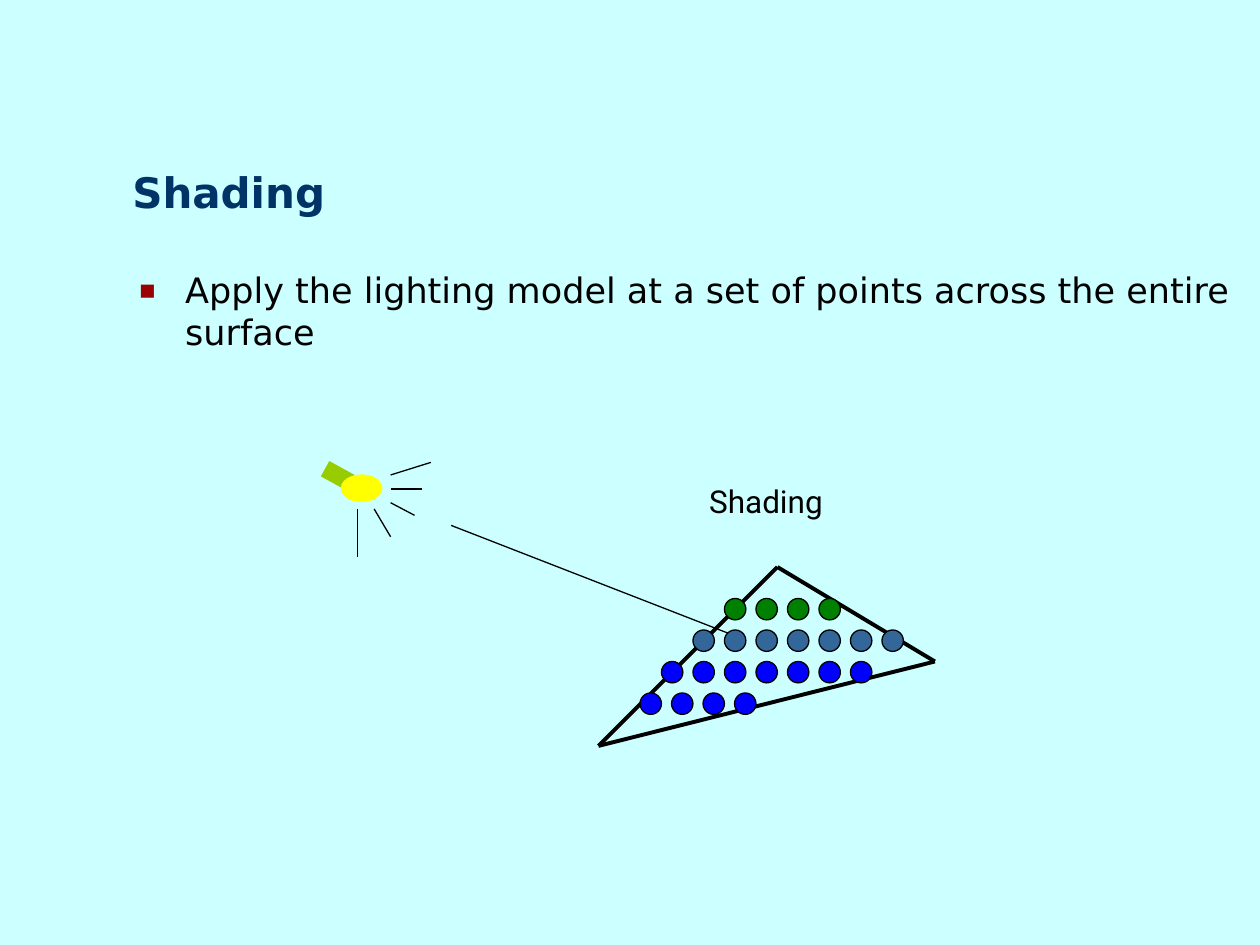
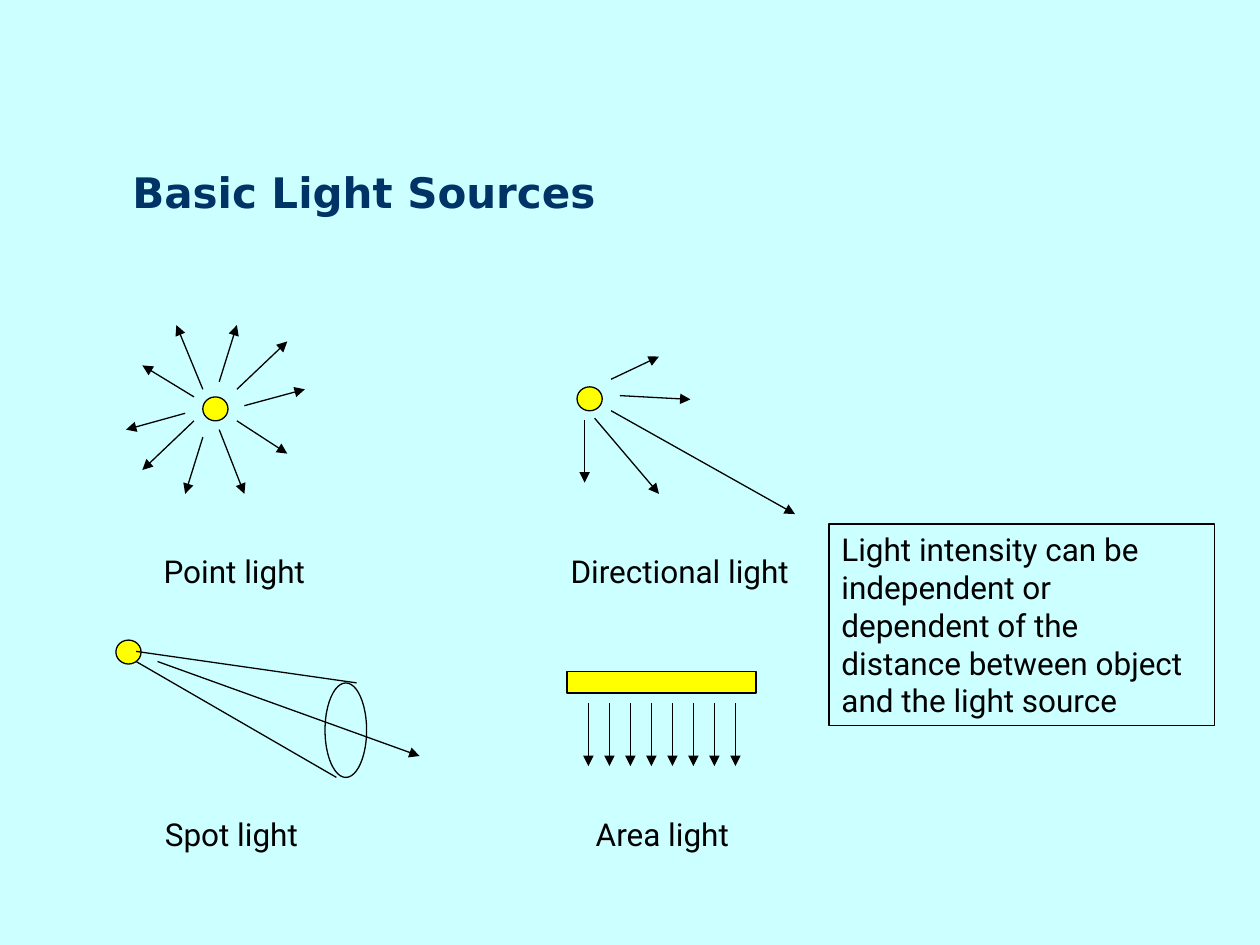
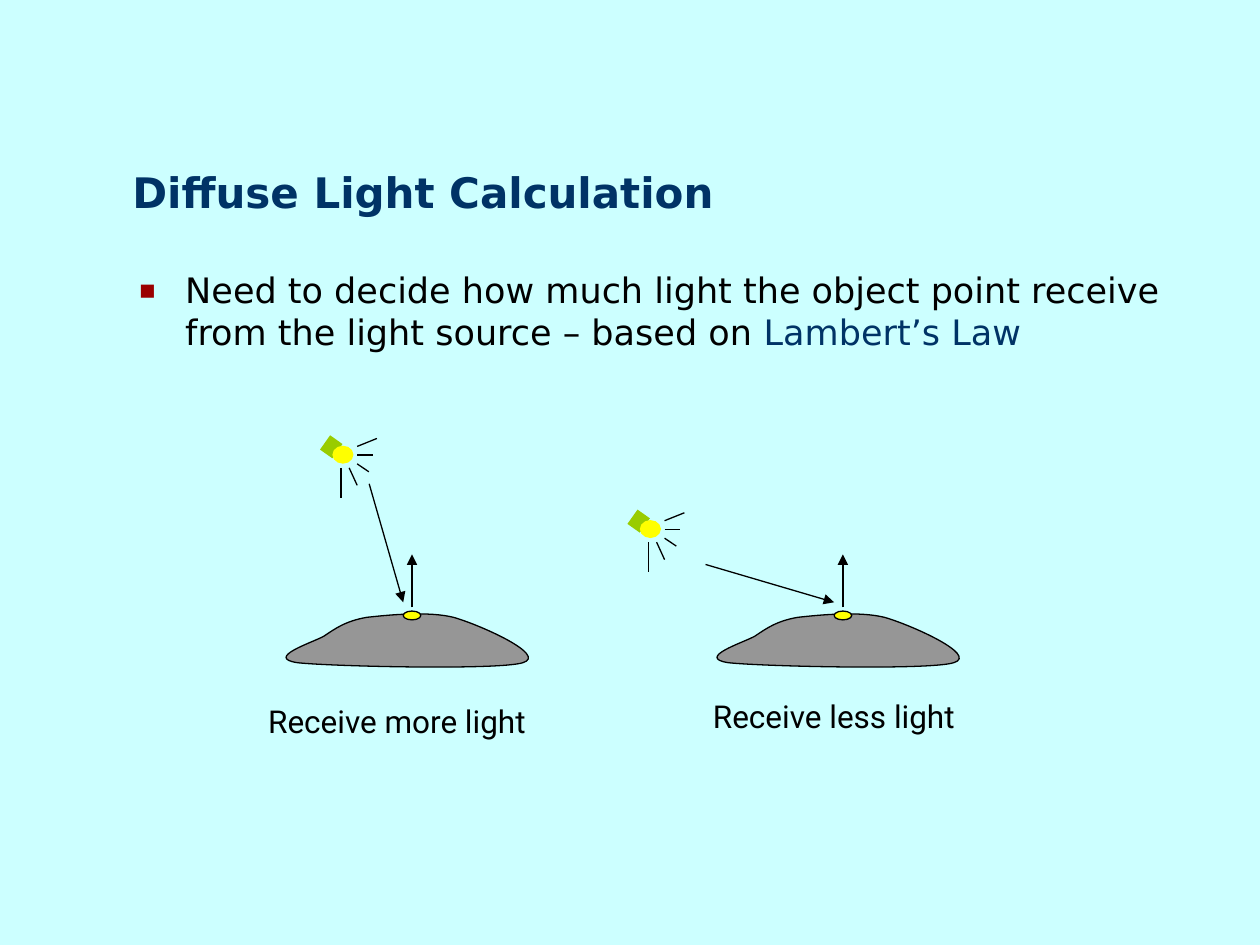
from pptx import Presentation, util as u
from pptx.dml.color import RGBColor
from pptx.enum import shapes, text
from pptx.oxml import parse_xml
from pptx.oxml.ns import nsdecls, qn

# Shared look
PAGE, INK, NAVY, RED = "CCFFFF", "000000", "003366", "9A0000"
SUN, LIME, STONE = "FFFF00", "99CC00", "969696"
HEAD, LABEL = "DejaVu Sans", "Roboto"

# Slide 1: lines are (x1, y1, x2, y2) in grid units of 2.54 cm
SHADE = [[("Apply the lighting model at a set of points across the entire surface", INK)]]
EDGES = [(4.75, 5.92, 6.17, 4.5), (6.17, 4.5, 7.42, 5.25), (4.75, 5.92, 7.42, 5.25)]
DOTS = [  # colour, left, top, count
    ("0000FF", 5.08, 5.5, 4), ("0000FF", 5.25, 5.25, 7),
    ("336699", 5.5, 5, 7), ("008000", 5.75, 4.75, 4)]

# Slide 2: each sun has its own rays
POINT = [
    (1.74, 3.03, 1.88, 2.58), (1.88, 3.09, 2.28, 2.71), (1.94, 3.22, 2.42, 3.09),
    (1.88, 3.34, 2.28, 3.6), (1.74, 3.41, 1.94, 3.92), (1.54, 3.15, 1.13, 2.9),
    (1.61, 3.47, 1.47, 3.92), (1.54, 3.34, 1.13, 3.73), (1.47, 3.28, 1, 3.41),
    (1.61, 3.09, 1.4, 2.58)]
DIRECT = [
    (4.85, 3.01, 5.23, 2.83), (4.92, 3.14, 5.48, 3.17), (4.85, 3.26, 6.31, 4.08),
    (4.72, 3.32, 5.23, 3.92), (4.64, 3.33, 4.64, 3.83)]
CONE = [(1.08, 5.17, 2.83, 5.42), (1.08, 5.25, 2.67, 6.17)]
BEAM = [(1.25, 5.25, 3.33, 6)]
NAMES = [
    ("Point light", 1.2, 4.33, 1.4), ("Directional light", 4.43, 4.33, 2.07),
    ("Area light", 4.63, 6.42, 1.33), ("Spot light", 1.21, 6.42, 1.32)]
NOTE = ["Light intensity can be", "independent or", "dependent of the",
        "distance between object", "and the light source"]

# Slide 3
LAMBERT = [[("Need to decide how much light the object point receive "
             "from the light source – based on ", INK), ("Lambert’s Law", NAVY)]]
CASES = [  # mound left, lamp corner, light ray, label
    (2.1, (2.58, 3.48), (2.93, 3.84, 3.2, 4.78), ("Receive more light", 2.03, 5.52, 2.44)),
    (5.52, (5.02, 4.07), (5.6, 4.48, 6.62, 4.78), ("Receive less light", 5.56, 5.48, 2.26))]

# Parts drawn from their own corner
RAYS = [(.52, .1, .84, 0), (.52, .21, .77, .21), (.52, .32, .71, .42),
        (.39, .37, .52, .59), (.26, .37, .26, .75)]
MOUND = [(.26, .41),  # start, then three points for each curve
         (0, .37), (.38, .25), (.47, .2), (.56, .14), (.64, .08), (.81, .05),
         (.99, .03), (1.3, 0), (1.5, .05), (1.71, .11), (2.25, .35), (2.05, .41),
         (1.86, .47), (.53, .44), (.26, .41)]


def cm(*nums):
    return [u.Cm(2.54 * n) for n in nums]


def color(code):
    return RGBColor.from_string(code)


def write(frame, paras, size=18, font=LABEL, ink=INK, bold=False, wrap=False,
          fit=text.MSO_AUTO_SIZE.SHAPE_TO_FIT_TEXT, anchor=text.MSO_ANCHOR.TOP):
    """Fill a frame with paragraphs, each a string or a list of (text, colour)."""
    frame.word_wrap, frame.auto_size, frame.vertical_anchor = wrap, fit, anchor
    for i, para in enumerate(paras):
        p = frame.add_paragraph() if i else frame.paragraphs[0]
        p.alignment = text.PP_ALIGN.LEFT
        for words, tint in [(para, ink)] if isinstance(para, str) else para:
            run = p.add_run()
            run.text = words
            run.font.size, run.font.name, run.font.bold = u.Pt(size), font, bold
            run.font.color.rgb = color(tint)


def style(shape, fill, line=INK):
    shape.shadow.inherit = False
    if fill:
        shape.fill.solid()
        shape.fill.fore_color.rgb = color(fill)
    else:
        shape.fill.background()
    shape.line.color.rgb = color(line)
    shape.line.width = u.Pt(0.75)


def draw(host, box, fill=None, line=INK, kind=shapes.MSO_SHAPE.OVAL):
    shape = host.shapes.add_shape(kind, *cm(*box))
    style(shape, fill, line)
    return shape


def link(host, ends, width=0.75, ink=INK, arrow=False):
    line = host.shapes.add_connector(shapes.MSO_CONNECTOR.STRAIGHT, *cm(*ends))
    line.line.color.rgb = color(ink)
    line.line.width = u.Pt(width)
    if arrow:
        line.line._get_or_add_ln().append(
            parse_xml(f'<a:tailEnd {nsdecls("a")} type="triangle"/>'))
    line._element.spPr.append(parse_xml(f'<a:effectLst {nsdecls("a")}/>'))


def label(slide, words, x, y, w):
    write(slide.shapes.add_textbox(*cm(x, y, w, 0.4)).text_frame, [words])


def place(shape, *box):
    shape.left, shape.top, shape.width, shape.height = cm(*box)


def page(prs, title, body=None):
    slide = prs.slides.add_slide(prs.slide_layouts[1 if body else 5])
    head = slide.shapes.title
    place(head, 0.95, 1.27, 8.93, 0.5)
    write(head.text_frame, [title], size=24, font=HEAD, ink=NAVY, bold=True,
          wrap=True, anchor=text.MSO_ANCHOR.BOTTOM)
    if body:
        hold = slide.placeholders[1]
        place(hold, 1, 2.08, 8.9, 4.58)
        write(hold.text_frame, body, size=20, font=HEAD, wrap=True,
              fit=text.MSO_AUTO_SIZE.NONE)
        for p in hold.text_frame.paragraphs:
            bullet(p)
    return slide


def bullet(p):
    p.space_before = u.Pt(5)
    props = p._p.get_or_add_pPr()
    dent = cm(0.37)[0]
    props.set("marL", str(dent))
    props.set("indent", str(-dent))
    for tag in (f'buClr {nsdecls("a")}><a:srgbClr val="{RED}"/></a:buClr',
                f'buSzPct {nsdecls("a")} val="75000"/',
                f'buFont {nsdecls("a")} typeface="{HEAD}"/',
                f'buChar {nsdecls("a")} char="▪"/'):
        props.append(parse_xml(f"<a:{tag}>"))


def lamp(slide, x, y, sx=1, sy=1):
    def fit(a, b, c, d):
        return x + a * sx, y + b * sy, x + c * sx, y + d * sy
    group = slide.shapes.add_group_shape()
    link(group, fit(.2, .16, 0, .05), width=10, ink=LIME)
    draw(group, (x + .13 * sx, y + .1 * sy, .32 * sx, .21 * sy), SUN, SUN)
    for ray in RAYS:
        link(group, fit(*ray))


def sun(slide, x, y, rays):
    group = slide.shapes.add_group_shape()
    draw(group, (x, y, .2, .19), SUN)
    for ray in rays:
        link(group, ray, arrow=True)
    return group


def bend(form):
    """Turn each three straight segments of an outline into one cubic curve."""
    route = form._element.find(".//" + qn("a:path"))
    legs = route.findall(qn("a:lnTo"))
    for i in range(0, len(legs), 3):
        curve = parse_xml(f'<a:cubicBezTo {nsdecls("a")}/>')
        legs[i].addprevious(curve)
        for leg in legs[i:i + 3]:
            curve.append(leg[0])
            route.remove(leg)


def mound(slide, x, y=4.85):
    pts = [cm(x + a, y + b) for a, b in MOUND]
    pen = slide.shapes.build_freeform(*pts[0])
    pen.add_line_segments(pts[1:], close=True)
    form = pen.convert_to_shape()
    bend(form)
    style(form, STONE)
    link(slide, (x + 1.17, y - .03, x + 1.17, y - .45), width=1, arrow=True)
    draw(slide, (x + 1.1, y, .14, .07), SUN)


def shading(prs):
    slide = page(prs, "Shading", SHADE)
    group = slide.shapes.add_group_shape()
    for edge in EDGES:
        link(group, edge, width=2.25)
    lamp(slide, 2.58, 3.67)
    link(slide, (3.58, 4.17, 5.92, 5.08), arrow=True)
    label(slide, "Shading", 5.53, 3.78, 1.16)
    for fill, x, y, count in DOTS:
        for i in range(count):
            draw(slide, (x + i * .25, y, .17, .17), fill)


def sources(prs):
    slide = page(prs, "Basic Light Sources")
    sun(slide, 1.61, 3.15, POINT)
    sun(slide, 4.58, 3.07, DIRECT)
    # Area light
    area = slide.shapes.add_group_shape()
    draw(area, (4.5, 5.33, 1.5, .17), SUN, kind=shapes.MSO_SHAPE.RECTANGLE)
    for i in range(8):
        x = 4.67 + i / 6
        link(area, (x, 5.58, x, 6.08), arrow=True)
    # Spot light
    spot = sun(slide, 0.92, 5.08, BEAM)
    for side in CONE:
        link(spot, side)
    draw(spot, (2.58, 5.42, .33, .75))
    for name in NAMES:
        label(slide, *name)
    # Framed remark
    note = draw(slide, (6.58, 4.16, 3.06, 1.6), kind=shapes.MSO_SHAPE.RECTANGLE)
    write(note.text_frame, NOTE, wrap=True)


def diffuse(prs):
    slide = page(prs, "Diffuse Light Calculation", LAMBERT)
    for left, corner, ray, name in CASES:
        mound(slide, left)
        lamp(slide, *corner, sx=.49, sy=.63)
        link(slide, ray, arrow=True)
        label(slide, *name)


def main():
    prs = Presentation()
    prs.slide_width, prs.slide_height = cm(10, 7.5)
    back = prs.slide_master.background.fill
    back.solid()
    back.fore_color.rgb = color(PAGE)
    for build in (shading, sources, diffuse):
        build(prs)
    prs.save("out.pptx")


if __name__ == "__main__":
    main()
